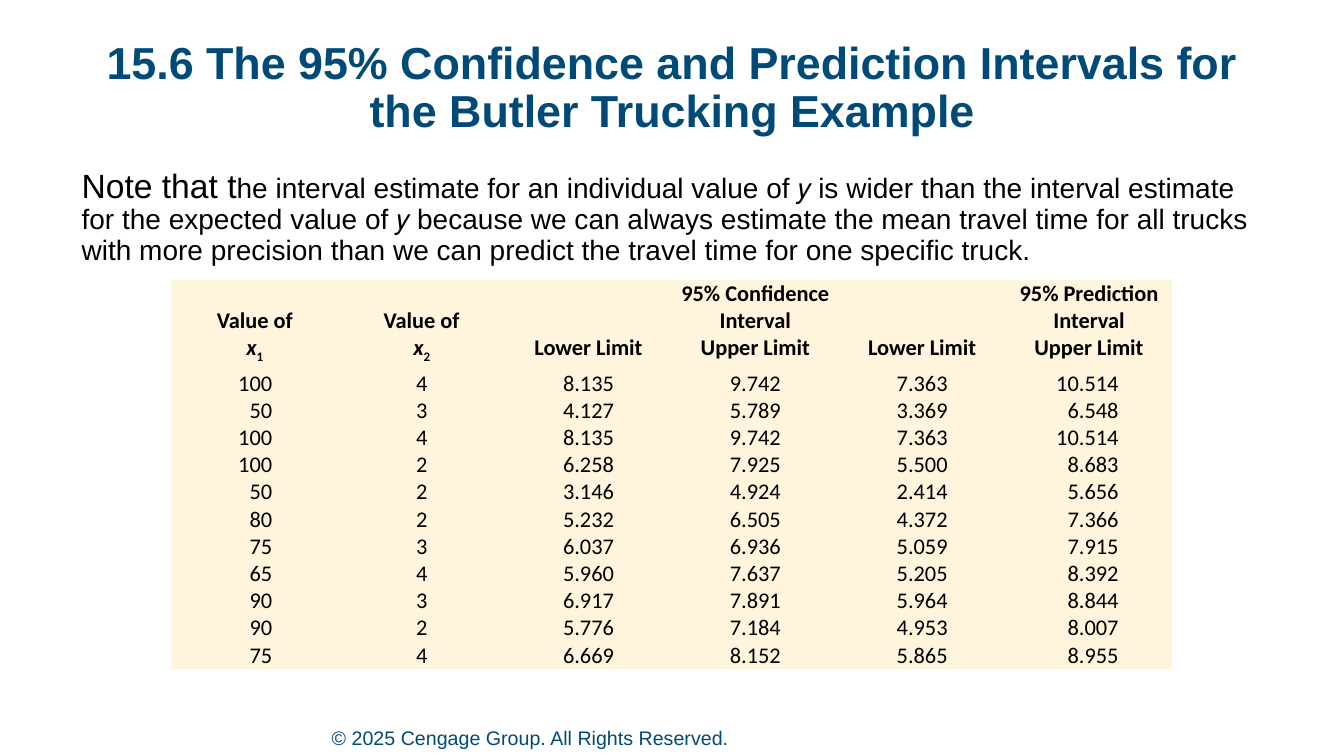
"""Build the slide of confidence and prediction intervals for the trucking example."""
from lxml import etree
from pptx import Presentation
from pptx.dml.color import RGBColor
from pptx.enum.text import MSO_ANCHOR, PP_ALIGN
from pptx.oxml.ns import qn
from pptx.util import Inches, Pt

LEFT, CENTER = PP_ALIGN.LEFT, PP_ALIGN.CENTER
TOP, BOTTOM = MSO_ANCHOR.TOP, MSO_ANCHOR.BOTTOM

TITLE = "15.6 The 95% Confidence and Prediction Intervals for the Butler Trucking Example"
NOTE_START = "Note that t"
NOTE_REST = (
    "he interval estimate for an individual value of 𝑦 is wider than the interval "
    "estimate for the expected value of 𝑦 because we can always estimate the mean "
    "travel time for all trucks with more precision than we can predict the travel "
    "time for one specific truck."
)
COPYRIGHT = "© 2025 Cengage Group. All Rights Reserved."

GROUP_HEADINGS = ["Value of", "Value of", "", "95% Confidence Interval", "", "95% Prediction Interval"]
COLUMN_HEADINGS = [("x", "1"), ("x", "2"), "Lower Limit", "Upper Limit", "Lower Limit", "Upper Limit"]
INTERVALS = [
    ("100", "4", "8.135", "9.742", "7.363", "10.514"),
    ("50", "3", "4.127", "5.789", "3.369", "6.548"),
    ("100", "4", "8.135", "9.742", "7.363", "10.514"),
    ("100", "2", "6.258", "7.925", "5.500", "8.683"),
    ("50", "2", "3.146", "4.924", "2.414", "5.656"),
    ("80", "2", "5.232", "6.505", "4.372", "7.366"),
    ("75", "3", "6.037", "6.936", "5.059", "7.915"),
    ("65", "4", "5.960", "7.637", "5.205", "8.392"),
    ("90", "3", "6.917", "7.891", "5.964", "8.844"),
    ("90", "2", "5.776", "7.184", "4.953", "8.007"),
    ("75", "4", "6.669", "8.152", "5.865", "8.955"),
]

THEME = {
    "blue": "004A78", "black": "000000", "cream": "FFF4DC",
    "text_font": "Arial", "table_font": "Calibri",
    "title": 32, "lead": 24, "note": 20, "table": 16, "footer": 14,
}
PLAIN_TABLE_STYLE = "{2D5ABB26-0587-4C30-8999-92F81FD0307C}"
TITLE_BOX = (0.92, 0.4, 11.5, 0.74)
NOTE_BOX = (0.81, 1.68, 11.6, 1.02)
FOOTER_BOX = (3.29, 7.19, 9.79, 0.29)
TABLE_BOX = (1.7, 2.78, 9.93, 3.86)
HEADING_HEIGHTS = [0.54, 0.35]
INTERVAL_HEIGHT = 0.27
RIGHT_TABS = {0: 1, 5: 1.12}


def set_attributes(target, values):
    for name, value in values.items():
        setattr(target, name, value)


def add_run(paragraph, text, size, color="black", font="text_font", **format_values):
    run = paragraph.add_run()
    run.text = text
    set_attributes(run.font, {"name": THEME[font], "size": Pt(THEME[size]), **format_values})
    run.font.color.rgb = RGBColor.from_string(THEME[color])
    return run


def add_text(slide, box, line_spacing=None, alignment=LEFT, anchor=TOP, bottom=0):
    frame = slide.shapes.add_textbox(*map(Inches, box)).text_frame
    set_attributes(frame, {
        "word_wrap": True, "vertical_anchor": anchor, "margin_left": 0,
        "margin_right": 0, "margin_top": 0, "margin_bottom": Inches(bottom),
    })
    paragraph = frame.paragraphs[0]
    set_attributes(paragraph, {"alignment": alignment, "line_spacing": line_spacing})
    return paragraph


def add_right_tab(paragraph, position):
    tab_list = etree.SubElement(paragraph._p.get_or_add_pPr(), qn("a:tabLst"))
    etree.SubElement(tab_list, qn("a:tab"), pos=str(Inches(position)), algn="r")


def fill_cell(cell, content, row, column):
    is_heading = row < len(HEADING_HEIGHTS)
    anchor = TOP if row == 1 or (row == 0 and column > 1) else BOTTOM
    set_attributes(cell, {
        "margin_left": 0, "margin_right": 0, "margin_top": 0, "margin_bottom": 0,
        "vertical_anchor": anchor,
    })
    cell.fill.solid()
    cell.fill.fore_color.rgb = RGBColor.from_string(THEME["cream"])
    paragraph = cell.text_frame.paragraphs[0]
    table_text = {"size": "table", "font": "table_font", "bold": is_heading}
    if not is_heading and column in RIGHT_TABS:
        add_right_tab(paragraph, RIGHT_TABS[column])
        add_run(paragraph, "\t" + content, **table_text)
        return
    paragraph.alignment = CENTER
    if isinstance(content, tuple):
        variable, subscript = content
        add_run(paragraph, variable, italic=True, **table_text)
        run = add_run(paragraph, subscript, **table_text)
        run.font._element.set("baseline", "-25000")
    elif content:
        add_run(paragraph, content, **table_text)


def add_interval_table(slide):
    rows = [GROUP_HEADINGS, COLUMN_HEADINGS, *INTERVALS]
    heights = HEADING_HEIGHTS + [INTERVAL_HEIGHT] * len(INTERVALS)
    column_count = len(COLUMN_HEADINGS)
    shape = slide.shapes.add_table(len(rows), column_count, *map(Inches, TABLE_BOX))
    table = shape.table
    set_attributes(table, {"first_row": False, "horz_banding": False})
    shape._element.xpath(".//a:tableStyleId")[0].text = PLAIN_TABLE_STYLE
    for column in table.columns:
        column.width = Inches(TABLE_BOX[2] / column_count)
    for row, (contents, height) in enumerate(zip(rows, heights)):
        table.rows[row].height = Inches(height)
        for column, content in enumerate(contents):
            fill_cell(table.cell(row, column), content, row, column)


def main():
    presentation = Presentation()
    set_attributes(presentation, {"slide_width": Inches(13.33), "slide_height": Inches(7.5)})
    slide = presentation.slides.add_slide(presentation.slide_layouts[6])

    footer = add_text(slide, FOOTER_BOX, anchor=BOTTOM, bottom=0.05)
    add_run(footer, COPYRIGHT, "footer", "blue")
    title = add_text(slide, TITLE_BOX, 0.9, CENTER)
    add_run(title, TITLE, "title", "blue", bold=True)
    note = add_text(slide, NOTE_BOX, 0.9)
    add_run(note, NOTE_START, "lead")
    add_run(note, NOTE_REST, "note")
    add_interval_table(slide)

    presentation.save("out.pptx")


if __name__ == "__main__":
    main()
